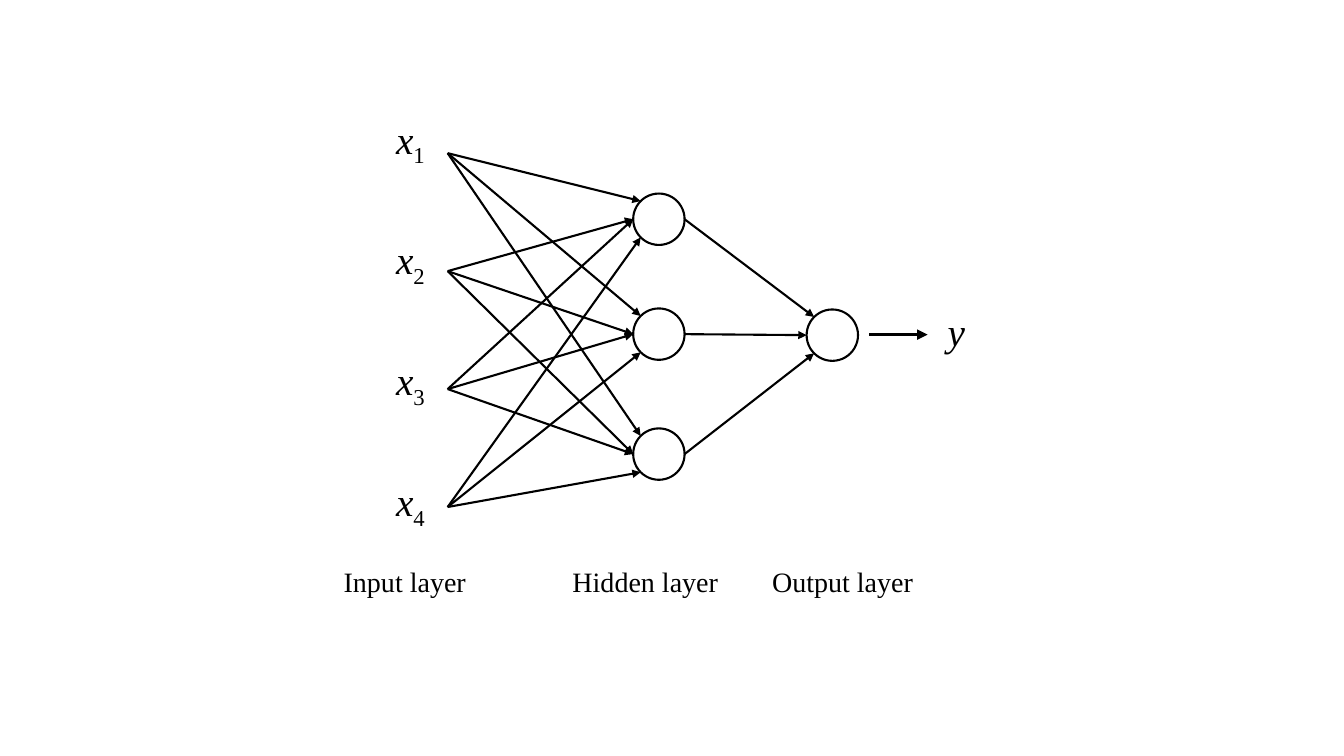
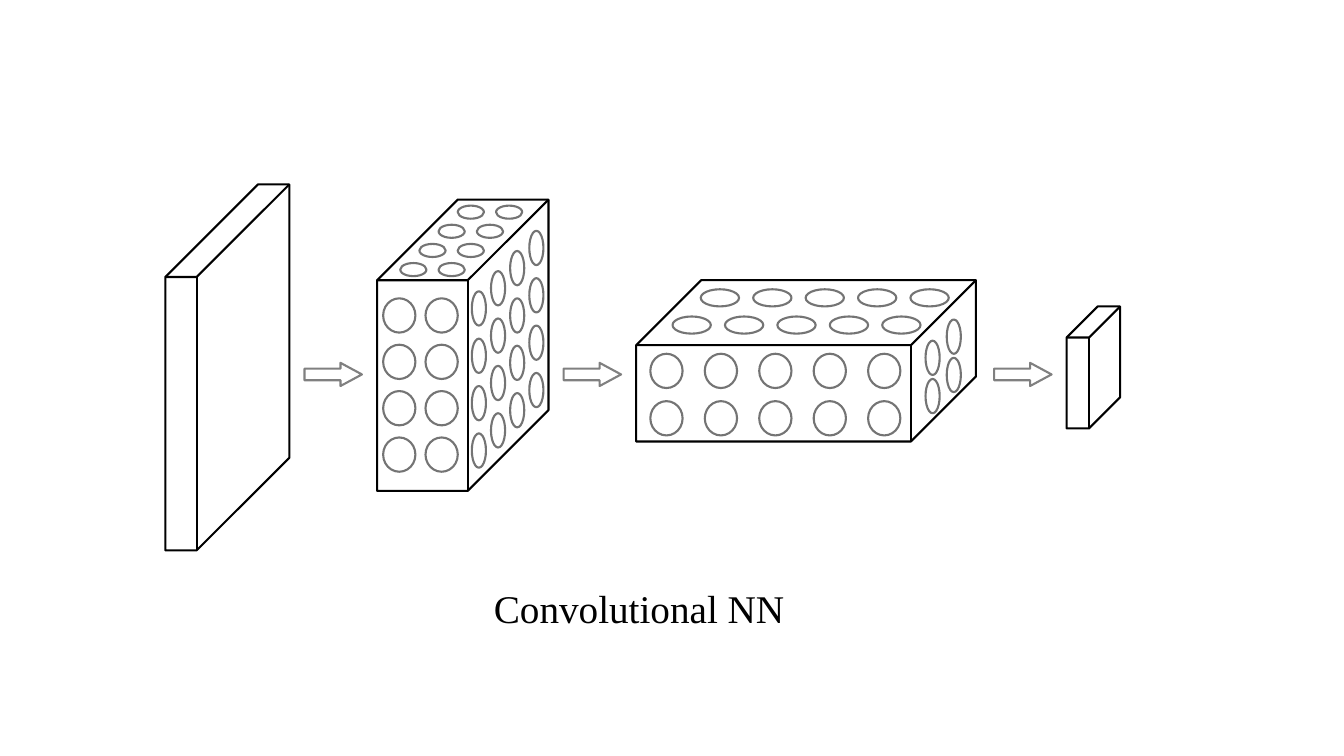
from dataclasses import dataclass
from itertools import product
from math import sqrt

from lxml.etree import SubElement
from pptx import Presentation
from pptx.dml.color import RGBColor
from pptx.enum.shapes import MSO_CONNECTOR, MSO_SHAPE
from pptx.enum.text import MSO_AUTO_SIZE
from pptx.oxml.ns import qn
from pptx.slide import Slide
from pptx.util import Inches, Pt

Point = tuple[float, float]


@dataclass(frozen=True)
class Theme:
    font: str = "Times New Roman"
    ink: RGBColor = RGBColor(0x00, 0x00, 0x00)
    arrow: RGBColor = RGBColor(0x80, 0x80, 0x80)
    neuron: RGBColor = RGBColor(0x74, 0x74, 0x74)
    symbol_size: int = 28
    label_size: int = 20
    line: float = 1.5
    bold_line: float = 2.5


THEME = Theme()


@dataclass(frozen=True)
class Box:
    left: float
    top: float
    width: float
    height: float


@dataclass(frozen=True)
class Node:
    """A round network node with the points where links meet it."""
    left: float
    top: float
    size: float = 0.51

    @property
    def right_point(self) -> Point:
        return self.left + self.size, self.top + self.size / 2

    @property
    def entry_points(self) -> tuple[Point, Point, Point]:
        """Upper left, left and lower left points of the circle."""
        inset = self.size / 2 * (1 - 1 / sqrt(2))
        return (
            (self.left + inset, self.top + inset),
            (self.left, self.top + self.size / 2),
            (self.left + inset, self.top + self.size - inset),
        )


@dataclass(frozen=True)
class Cube:
    box: Box
    depth: float


@dataclass(frozen=True)
class NeuronGrid:
    """Equal ellipses on one face of a cube, stepped along its edges."""
    first: Box
    columns: int
    rows: int
    column_step: Point
    row_step: Point


INPUTS = [(4.44, 1.52 + 1.17 * i) for i in range(4)]
HIDDEN = [Node(6.28, top) for top in (1.92, 3.06, 4.25)]
OUTPUT = Node(8, 3.07)
UPPER, LEFT, LOWER = range(3)
INPUT_ENTRIES = (UPPER, LEFT, LEFT, LOWER)
LAYERS = (("Input layer", 3.31), ("Hidden layer", 5.58), ("Output layer", 7.56))

CUBES = (
    Cube(Box(1.64, 1.83, 1.23, 3.63), 0.747),
    Cube(Box(3.74, 1.98, 1.7, 2.89), 0.471),
    Cube(Box(6.31, 2.78, 3.37, 1.6), 0.403),
    Cube(Box(10.58, 3.04, 0.53, 1.21), 0.581),
)
ARROW_LEFTS = (3.02, 5.59, 9.86)
GRIDS = (
    NeuronGrid(Box(3.8, 2.96, 0.32, 0.34), 2, 4, (0.42, 0), (0, 0.46)),
    NeuronGrid(Box(4.54, 2.04, 0.26, 0.13), 2, 4, (0.38, 0), (-0.19, 0.19)),
    NeuronGrid(Box(4.68, 2.89, 0.14, 0.34), 4, 4, (0.19, -0.2), (0, 0.47)),
    NeuronGrid(Box(6.95, 2.87, 0.38, 0.17), 5, 2, (0.52, 0), (-0.28, 0.27)),
    NeuronGrid(Box(6.45, 3.51, 0.32, 0.34), 5, 2, (0.54, 0), (0, 0.47)),
    NeuronGrid(Box(9.18, 3.38, 0.14, 0.34), 2, 2, (0.21, -0.21), (0, 0.38)),
)


def add_outline(slide: Slide, kind: MSO_SHAPE, box: Box, color: RGBColor,
                adjustments: tuple[float, ...] = ()) -> None:
    sp = slide.shapes.add_shape(kind, Inches(box.left), Inches(box.top),
                                Inches(box.width), Inches(box.height))
    sp.shadow.inherit = False
    sp.fill.background()
    sp.line.color.rgb = color
    sp.line.width = Pt(THEME.line)
    for i, value in enumerate(adjustments):
        sp.adjustments[i] = value


def add_link(slide: Slide, start: Point, end: Point, width: float = THEME.line) -> None:
    """Draw a straight line with an arrowhead at its end."""
    cxn = slide.shapes.add_connector(
        MSO_CONNECTOR.STRAIGHT, *(Inches(v) for v in (*start, *end)))
    cxn.line.color.rgb = THEME.ink
    cxn.line.width = Pt(width)
    SubElement(cxn.line._get_or_add_ln(), qn("a:tailEnd"), type="triangle")
    SubElement(cxn._element.spPr, qn("a:effectLst"))


def add_label(slide: Slide, text: str, box: Box, size: int, italic: bool = False,
              subscript: str = "") -> None:
    tb = slide.shapes.add_textbox(Inches(box.left), Inches(box.top),
                                  Inches(box.width), Inches(box.height))
    tf = tb.text_frame
    tf.word_wrap = True
    tf.auto_size = MSO_AUTO_SIZE.SHAPE_TO_FIT_TEXT
    p = tf.paragraphs[0]
    for part in filter(None, (text, subscript)):
        r = p.add_run()
        r.text = part
        r.font.name = THEME.font
        r.font.size = Pt(size)
        r.font.color.rgb = THEME.ink
        r.font.italic = italic and part == text
    if subscript:
        r.font._element.set("baseline", "-25000")


def draw_network(slide: Slide) -> None:
    for (start, entry), node in product(zip(INPUTS, INPUT_ENTRIES), HIDDEN):
        add_link(slide, start, node.entry_points[entry])
    for node, end in zip(HIDDEN, OUTPUT.entry_points):
        add_link(slide, node.right_point, end)
    for node in (*HIDDEN, OUTPUT):
        add_outline(slide, MSO_SHAPE.OVAL,
                    Box(node.left, node.top, node.size, node.size), THEME.ink)
    add_link(slide, (8.62, 3.32), (9.2, 3.32), THEME.bold_line)

    for i in range(len(INPUTS)):
        add_label(slide, "x", Box(3.83, 1.09 + 1.2 * i, 0.55, 0.57),
                  THEME.symbol_size, italic=True, subscript=str(i + 1))
    add_label(slide, "y", Box(9.3, 3, 0.4, 0.57), THEME.symbol_size, italic=True)
    for name, left in LAYERS:
        add_label(slide, name, Box(left, 5.55, 1.9, 0.44), THEME.label_size)


def draw_convolution(slide: Slide) -> None:
    for cube in CUBES:
        add_outline(slide, MSO_SHAPE.CUBE, cube.box, THEME.ink, (cube.depth,))
    for left in ARROW_LEFTS:
        add_outline(slide, MSO_SHAPE.RIGHT_ARROW, Box(left, 3.6, 0.57, 0.23),
                    THEME.arrow, (0.5, 0.926))
    for grid in GRIDS:
        first, (cx, cy), (rx, ry) = grid.first, grid.column_step, grid.row_step
        for row, col in product(range(grid.rows), range(grid.columns)):
            box = Box(first.left + col * cx + row * rx,
                      first.top + col * cy + row * ry, first.width, first.height)
            add_outline(slide, MSO_SHAPE.OVAL, box, THEME.neuron)
    add_label(slide, "Convolutional NN", Box(4.8, 5.75, 3.62, 0.57), THEME.symbol_size)


def main() -> None:
    prs = Presentation()
    prs.slide_width, prs.slide_height = Inches(13.33), Inches(7.5)
    blank = prs.slide_layouts.get_by_name("Blank")
    for draw in (draw_network, draw_convolution):
        draw(prs.slides.add_slide(blank))
    prs.save("out.pptx")


if __name__ == "__main__":
    main()
